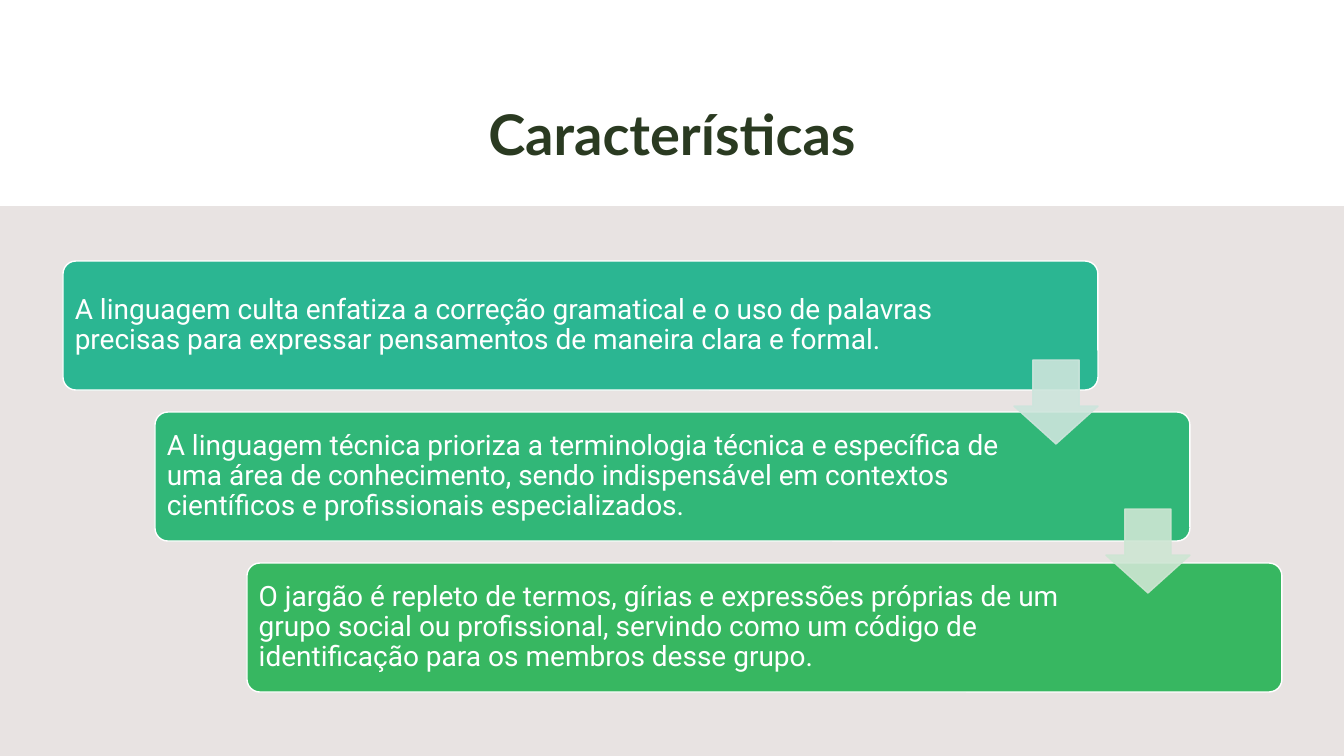
from lxml import etree
from pptx import Presentation
from pptx.dml.color import RGBColor
from pptx.enum.shapes import MSO_SHAPE as SHAPE
from pptx.enum.text import MSO_ANCHOR as ANCHOR, PP_ALIGN as ALIGN
from pptx.oxml.ns import qn
from pptx.util import Pt

PX = 914400 / 100.8
WHITE = RGBColor(0xFF, 0xFF, 0xFF)
BAND = RGBColor(0xE8, 0xE3, 0xE2)
TITLE = RGBColor(0x2A, 0x3A, 0x21)
TEAL = RGBColor(0x2B, 0xB6, 0x92)
JADE = RGBColor(0x31, 0xB7, 0x78)
GREEN = RGBColor(0x37, 0xB7, 0x61)
PALE_TEAL = RGBColor(0xCD, 0xE5, 0xDC)
PALE_GREEN = RGBColor(0xCE, 0xE6, 0xD3)


def px(*lengths):
    return [round(n * PX) for n in lengths]


def add_shape(kind, box, fill, line=None):
    sp = s.shapes.add_shape(kind, *px(*box))
    sp.shadow.inherit = False
    sp.fill.solid()
    sp.fill.fore_color.rgb = fill
    if line is None:
        sp.line.fill.background()
    else:
        sp.line.color.rgb = line
        sp.line.width = Pt(1)
    return sp


prs = Presentation()
prs.slide_width, prs.slide_height = px(1344, 756)
s = prs.slides.add_slide(prs.slide_layouts[6])

title = s.shapes.add_textbox(*px(157, 78, 1030, 110))
tf = title.text_frame
tf.word_wrap = True
tf.vertical_anchor = ANCHOR.MIDDLE
p = tf.paragraphs[0]
p.text = "Características"
p.alignment = ALIGN.CENTER
font = p.runs[0].font
font.name, font.size, font.bold = "Lato", Pt(40), True
font.color.rgb = TITLE

add_shape(SHAPE.RECTANGLE, (0, 206, 1344, 550), BAND)

cards = [
    (TEAL, 139, "A linguagem culta enfatiza a correção gramatical e o uso de palavras "
     "precisas para expressar pensamentos de maneira clara e formal."),
    (JADE, 182, "A linguagem técnica prioriza a terminologia técnica e específica de "
     "uma área de conhecimento, sendo indispensável em contextos "
     "científicos e profissionais especializados."),
    (GREEN, 182, "O jargão é repleto de termos, gírias e expressões próprias de um "
     "grupo social ou profissional, servindo como um código de "
     "identificação para os membros desse grupo."),
]
for i, (fill, right, text) in enumerate(cards):
    card = add_shape(SHAPE.ROUNDED_RECTANGLE, (63 + 92 * i, 261 + 151 * i, 1035, 129), fill, WHITE)
    card.adjustments[0] = 0.1
    tf = card.text_frame
    tf.word_wrap = True
    tf.vertical_anchor = ANCHOR.MIDDLE
    tf.margin_left, tf.margin_top, tf.margin_right, tf.margin_bottom = px(8, 8, right, 8)
    p = tf.paragraphs[0]
    p.text = text
    p.alignment = ALIGN.LEFT
    p.line_spacing = 0.9
    font = p.runs[0].font
    font.name, font.size = "Roboto", Pt(20)
    font.color.rgb = WHITE

for i, color in enumerate([PALE_TEAL, PALE_GREEN]):
    arrow = add_shape(SHAPE.DOWN_ARROW, (1014 + 92 * i, 360 + 149 * i, 84, 84), color, color)
    arrow.adjustments[0] = 0.55
    arrow.adjustments[1] = 0.45
    for clr in arrow.element.spPr.iter(qn("a:srgbClr")):
        etree.SubElement(clr, qn("a:alpha"), val="90000")

prs.save("out.pptx")
